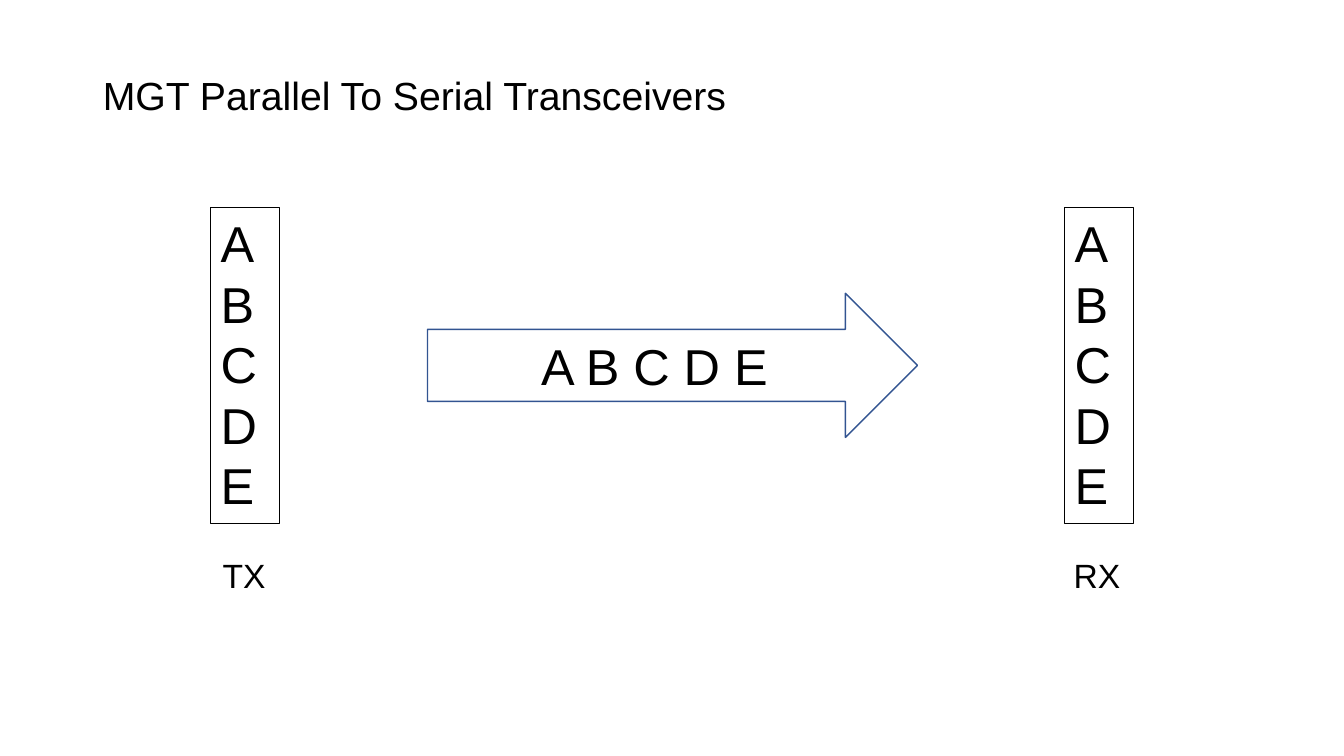
"""Build a slide showing parallel data sent serially between transceivers."""
from pptx import Presentation
from pptx import util as u
from pptx.dml.color import RGBColor
from pptx.enum import shapes, text

TITLE = "MGT Parallel To Serial Transceivers"
LETTERS = ["A", "B", "C", "D", "E"]
ENDPOINTS = [
    {"label": "TX", "left": 2.09, "label_left": 2.11, "label_width": 0.63},
    {"label": "RX", "left": 10.56, "label_left": 10.55, "label_width": 0.67},
]
COLORS = {"ink": "000000", "paper": "FFFFFF", "arrow": "325491"}
FONT = "Arial"


def color(name):
    """Return the named colour."""
    return RGBColor.from_string(COLORS[name])


def box(left, top, width, height):
    """Convert a position and size to lengths."""
    return [u.Inches(value) for value in (left, top, width, height)]


def write(shape, lines, size, align=text.PP_ALIGN.LEFT, anchor=text.MSO_ANCHOR.TOP, wrap=True):
    """Write lines into one paragraph, parted by line breaks."""
    frame = shape.text_frame
    frame.word_wrap = wrap
    frame.vertical_anchor = anchor
    paragraph = frame.paragraphs[0]
    paragraph.alignment = align
    for index, line in enumerate(lines):
        if index:
            paragraph.add_line_break()
        run = paragraph.add_run()
        run.text = line
        run.font.name = FONT
        run.font.size = u.Pt(size)
        run.font.color.rgb = color("ink")
    return paragraph


def add_outlined(slide, kind, place, line_color, line_width):
    """Add an unfilled shape with a thin outline."""
    shape = slide.shapes.add_shape(kind, *box(*place))
    shape.shadow.inherit = False
    shape.fill.background()
    shape.line.color.rgb = color(line_color)
    shape.line.width = u.Pt(line_width)
    return shape


def add_title(slide):
    """Fill the title placeholder."""
    title = slide.shapes.title
    title.left, title.top, title.width, title.height = box(0.92, 0.4, 11.5, 1.14)
    paragraph = write(title, [TITLE], 28, anchor=text.MSO_ANCHOR.MIDDLE)
    paragraph.line_spacing = 0.9


def add_endpoint(slide, endpoint):
    """Add a column of letters with its label below."""
    column = add_outlined(slide, shapes.MSO_SHAPE.RECTANGLE,
                          (endpoint["left"], 2.06, 0.68, 3.13), "ink", 0.75)
    write(column, LETTERS, 36)
    label = slide.shapes.add_textbox(
        *box(endpoint["label_left"], 5.46, endpoint["label_width"], 0.5))
    write(label, [endpoint["label"]], 24, wrap=False)


def add_serial_arrow(slide):
    """Add the arrow that carries the letters in series."""
    arrow = add_outlined(slide, shapes.MSO_SHAPE.RIGHT_ARROW,
                         (4.24, 2.91, 4.86, 1.43), "arrow", 1)
    arrow.fill.solid()
    arrow.fill.fore_color.rgb = color("paper")
    write(arrow, [" ".join(LETTERS)], 36, text.PP_ALIGN.CENTER, text.MSO_ANCHOR.MIDDLE)


def main():
    """Assemble and save the slide."""
    presentation = Presentation()
    presentation.slide_width = u.Inches(13.33)
    presentation.slide_height = u.Inches(7.5)
    slide = presentation.slides.add_slide(presentation.slide_layouts[5])
    add_title(slide)
    add_serial_arrow(slide)
    for endpoint in ENDPOINTS:
        add_endpoint(slide, endpoint)
    presentation.save("out.pptx")


if __name__ == "__main__":
    main()
